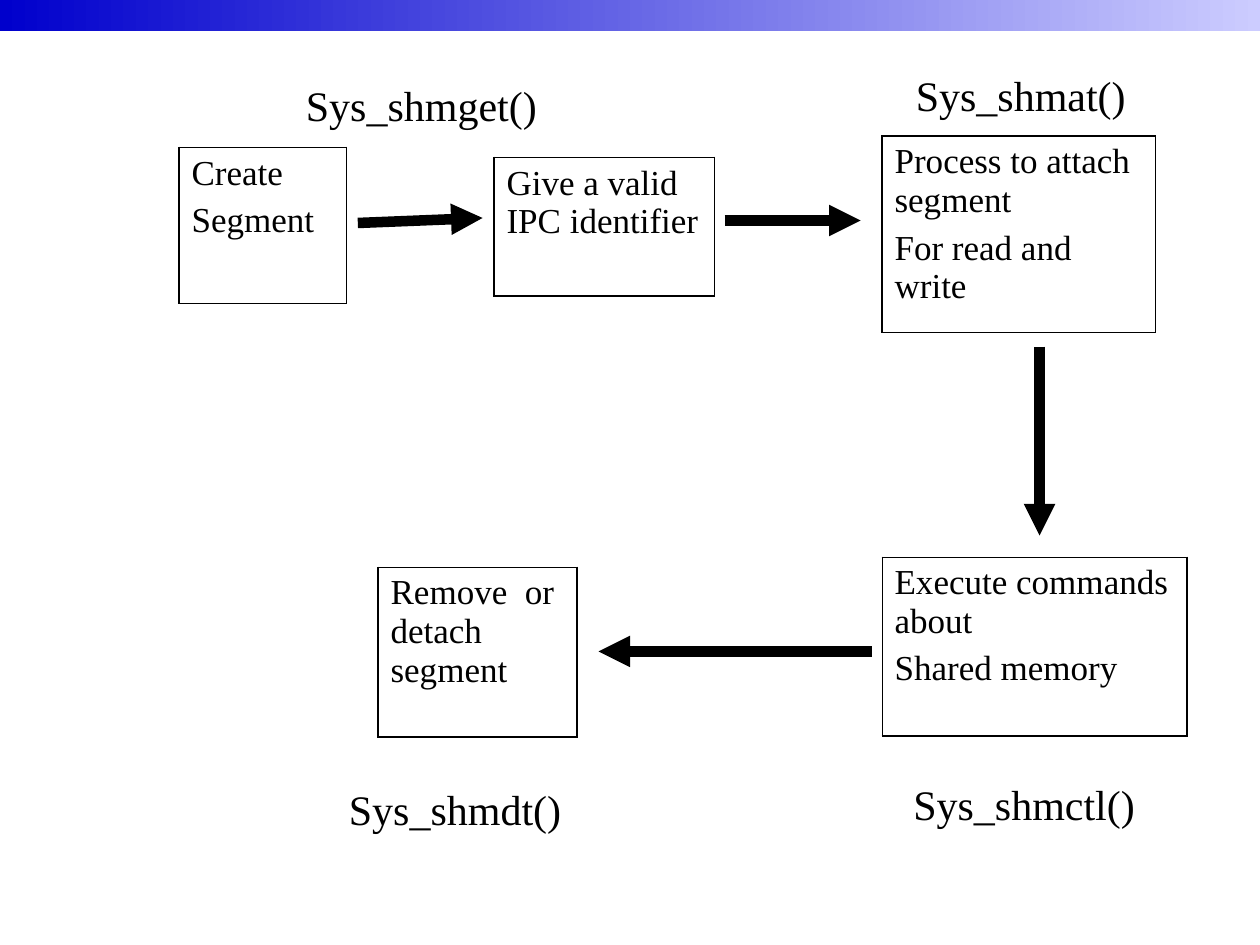
from lxml.etree import SubElement
from pptx import Presentation
from pptx.dml.color import RGBColor
from pptx.enum.shapes import MSO_CONNECTOR as Connector, MSO_SHAPE as Shape
from pptx.enum.text import MSO_AUTO_SIZE as AutoSize
from pptx.oxml.ns import qn
from pptx.util import Inches, Pt

FONT = "Times New Roman"
BLACK = "000000"
THIN, THICK = 0.45, 1.08
EVEN = (THICK, THICK, THICK, THICK)

STEPS = [
    (1.42, 1.17, 1.33, 1.24, ["Create", "Segment"], EVEN),
    (3.92, 1.25, 1.75, 1.1, ["Give a valid IPC identifier"], EVEN),
    (7, 1.08, 2.17, 1.56, ["Process to attach segment", "For read and write"], EVEN),
    (7, 4.42, 2.42, 1.42, ["Execute commands about", "Shared memory"],
     (THIN, THICK, THIN, THICK)),
    (3, 4.5, 1.58, 1.35, ["Remove  or detach segment"], (THICK, THICK, THIN, THICK)),
]
ARROWS = [
    (2.84, 1.77, 3.83, 1.73),
    (5.75, 1.75, 6.83, 1.75),
    (8.25, 2.75, 8.25, 4.25),
    (6.92, 5.17, 4.75, 5.17),
]
CALLS = [
    (2.33, 0.58, 2.03, "Sys_shmget()", True),
    (7.17, 0.5, 2.33, "Sys_shmat()", True),
    (7.15, 6.13, 1.96, "Sys_shmctl()", False),
    (2.67, 6.17, 1.92, "Sys_shmdt()", False),
]


def color(value):
    """Return the colour for a hex string."""
    return RGBColor.from_string(value)


def style_font(para, size):
    """Set the font of a paragraph."""
    para.font.name = FONT
    para.font.size = Pt(size)
    para.font.color.rgb = color(BLACK)


def add_banner(slide):
    """Add the gradient strip along the top edge."""
    banner = slide.shapes.add_shape(Shape.RECTANGLE, 0, 0, Inches(10), Inches(0.25))
    banner.shadow.inherit = False
    banner.line.fill.background()
    banner.fill.gradient()
    banner.fill.gradient_angle = 0
    for stop, position, value in zip(
        banner.fill.gradient_stops, (0, 1), ("0000CC", "CCCCFF")
    ):
        stop.position = position
        stop.color.rgb = color(value)


def set_borders(cell, widths):
    """Draw the left, right, top and bottom borders of a cell."""
    properties = cell._tc.get_or_add_tcPr()
    for side, width in zip("LRTB", widths):
        line = SubElement(properties, qn(f"a:ln{side}"), w=str(Pt(width)))
        fill = SubElement(line, qn("a:solidFill"))
        SubElement(fill, qn("a:srgbClr"), val=BLACK)


def add_step(slide, left, top, width, height, lines, borders):
    """Add one step of the flow as a single-cell table."""
    frame = slide.shapes.add_table(
        1, 1, Inches(left), Inches(top), Inches(width), Inches(height)
    )
    table = frame.table
    table.first_row = table.horz_banding = False
    cell = table.cell(0, 0)
    set_borders(cell, borders)
    cell.fill.background()
    cell.text = "\n".join(lines)
    for index, para in enumerate(cell.text_frame.paragraphs):
        if index:
            para.space_before = Pt(5)
        style_font(para, 20)


def add_arrow(slide, *points):
    """Add a thick arrow between two points."""
    arrow = slide.shapes.add_connector(Connector.STRAIGHT, *map(Inches, points))
    arrow.line.color.rgb = color(BLACK)
    arrow.line.width = Pt(6)
    SubElement(arrow.line._get_or_add_ln(), qn("a:tailEnd"), type="triangle")
    SubElement(arrow._element.spPr, qn("a:effectLst"))


def add_call(slide, left, top, width, text, wrap):
    """Add the name of a system call."""
    box = slide.shapes.add_textbox(
        Inches(left), Inches(top), Inches(width), Inches(0.5)
    )
    frame = box.text_frame
    frame.word_wrap = wrap
    frame.auto_size = AutoSize.SHAPE_TO_FIT_TEXT
    frame.text = text
    style_font(frame.paragraphs[0], 24)


def main():
    """Build the slide and save the deck."""
    deck = Presentation()
    deck.slide_width, deck.slide_height = Inches(10), Inches(7.5)
    page = deck.slides.add_slide(deck.slide_layouts[6])
    add_banner(page)
    for step in STEPS:
        add_step(page, *step)
    for arrow in ARROWS:
        add_arrow(page, *arrow)
    for call in CALLS:
        add_call(page, *call)
    deck.save("out.pptx")


if __name__ == "__main__":
    main()
